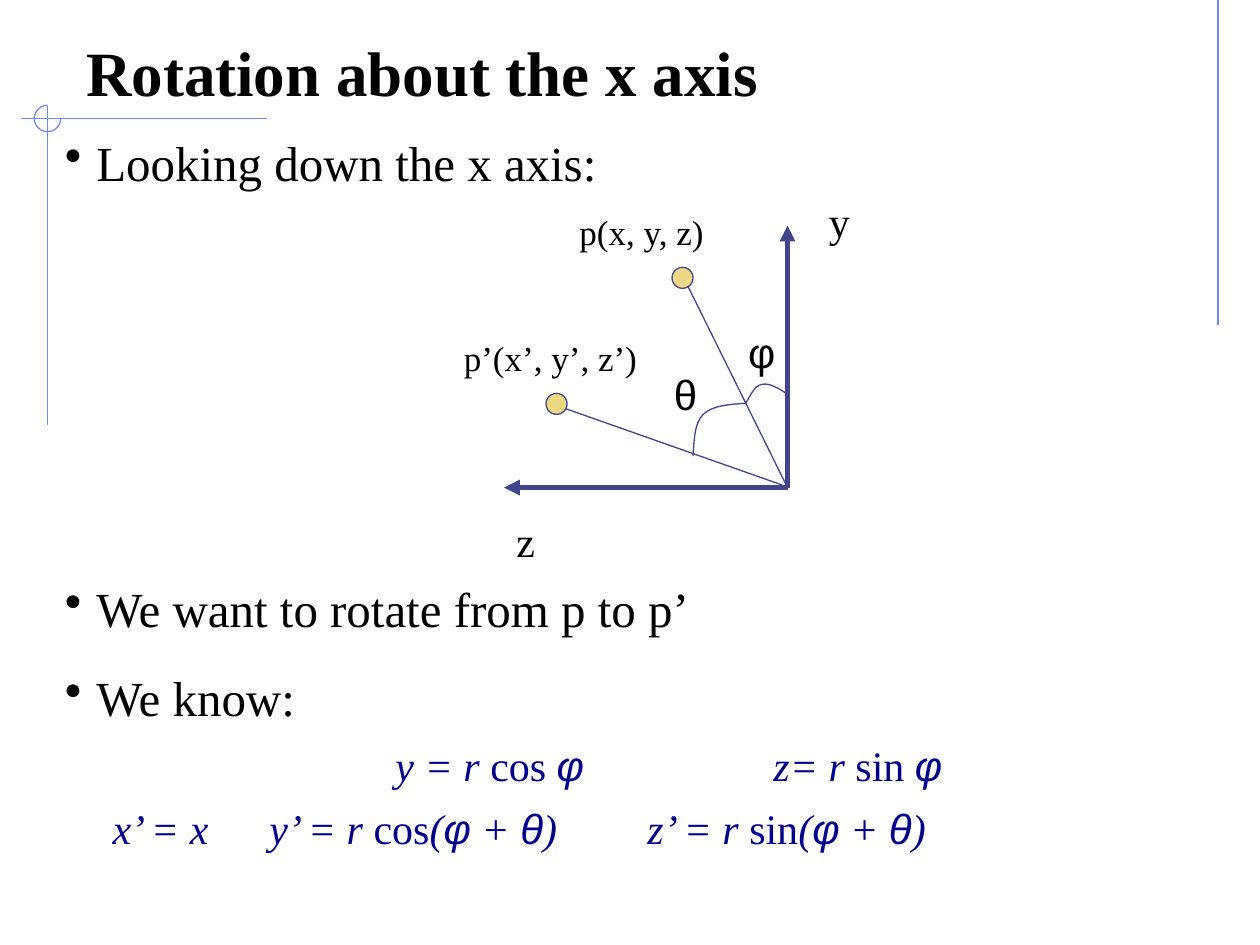
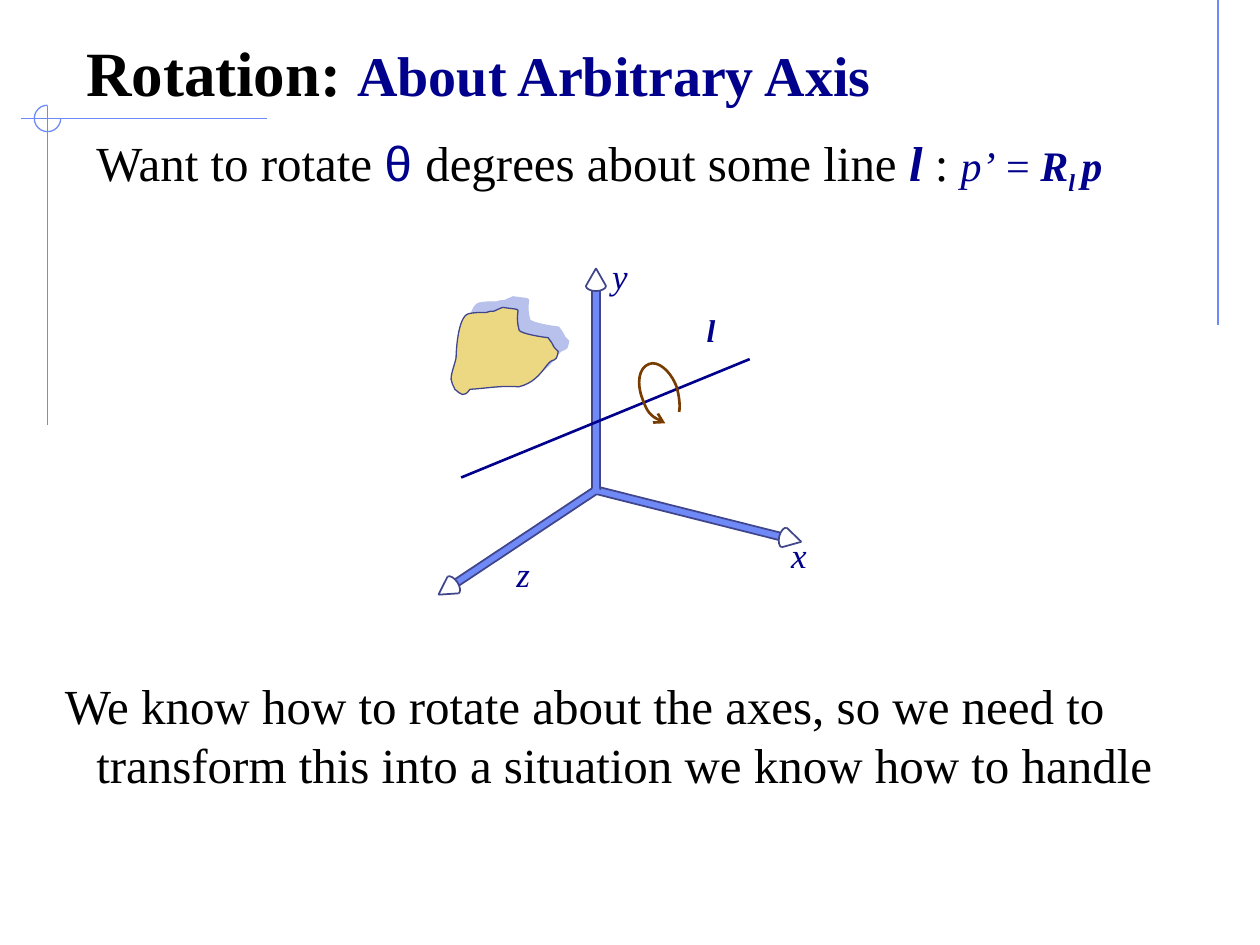
from dataclasses import dataclass, replace
from math import atan2, degrees, hypot

from lxml.etree import SubElement
from pptx import Presentation
from pptx.dml.color import RGBColor
from pptx.enum.shapes import MSO_CONNECTOR, MSO_SHAPE
from pptx.enum.text import MSO_ANCHOR, MSO_AUTO_SIZE, PP_ALIGN
from pptx.oxml.ns import qn
from pptx.util import Inches, Pt

# Colours
BLACK = RGBColor(0x00, 0x00, 0x00)
NAVY = RGBColor(0x00, 0x00, 0x8C)
INDIGO = RGBColor(0x40, 0x45, 0x8C)
PERIWINKLE = RGBColor(0x6F, 0x89, 0xF7)
SAND = RGBColor(0xEC, 0xD8, 0x82)
BROWN = RGBColor(0x78, 0x3C, 0x00)
SHADOW = RGBColor(0xB7, 0xC1, 0xEB)

# The slide is a grid of 100 columns by 75 rows of square cells
CELL = Inches(0.1)
SERIF, SANS = "Times New Roman", "Arial"


@dataclass(frozen=True)
class TextStyle:
    size: int = 28
    color: RGBColor = BLACK
    font: str = SERIF
    bold: bool = False
    italic: bool = False
    baseline: int = 0


BODY = TextStyle()
TITLE = TextStyle(36, bold=True)
SUBTITLE = TextStyle(32, NAVY, bold=True)
AXIS_LABEL = TextStyle(24)
ANGLE_LABEL = TextStyle(24, font=SANS)
POINT_LABEL = TextStyle(20)
MATH = TextStyle(24, NAVY, italic=True)
MATH_UPRIGHT = replace(MATH, italic=False)
MATH_GREEK = replace(MATH, font=SANS)
MATH_BOLD = replace(MATH, bold=True)


@dataclass(frozen=True)
class Paragraph:
    runs: list
    hanging: float = 0
    before: float = 0
    bullet: bool = False


def cells(count):
    return round(count * CELL)


class SlideBuilder:
    def __init__(self, deck):
        self.deck = deck
        self.page = None

    # Shared page parts
    def start(self, title_runs):
        self.page = self.deck.slides.add_slide(self.deck.slide_layouts[5])
        title = self.page.shapes.title
        title.left, title.top, title.width, title.height = map(cells, (5.83, 2.5, 88.3, 6.67))
        frame = title.text_frame
        frame.auto_size = MSO_AUTO_SIZE.NONE
        frame.vertical_anchor = MSO_ANCHOR.BOTTOM
        frame.paragraphs[0].alignment = PP_ALIGN.LEFT
        self.add_runs(frame.paragraphs[0], title_runs)
        # Corner rules and arc
        for ends in (((96.67, 0), (96.67, 25.83)), ((21.2, 9.4), (1.7, 9.4)),
                     ((3.79, 8.4), (3.79, 33.75))):
            self.line(*ends, PERIWINKLE)
        arc = self.shape(MSO_SHAPE.ARC, 2.72, 8.35, 2.1, 2.1, line=PERIWINKLE)
        arc.adjustments[0], arc.adjustments[1] = 0, 162

    # Text
    def add_runs(self, para, runs):
        for text, style in runs:
            span = para.add_run()
            span.text = text
            font = span.font
            font.size, font.name = Pt(style.size), style.font
            font.bold, font.italic = style.bold, style.italic
            font.color.rgb = style.color
            if style.baseline:
                font._element.set("baseline", str(style.baseline * 1000))

    def label(self, left, top, width, height, runs):
        box = self.page.shapes.add_textbox(*map(cells, (left, top, width, height)))
        box.text_frame.word_wrap = False
        self.add_runs(box.text_frame.paragraphs[0], runs)

    def body(self, top, height, paragraphs):
        box = self.page.shapes.add_textbox(*map(cells, (4.17, top, 91.7, height)))
        frame = box.text_frame
        frame.word_wrap = True
        for index, item in enumerate(paragraphs):
            para = frame.add_paragraph() if index else frame.paragraphs[0]
            props = para._p.get_or_add_pPr()
            props.set("marL", str(cells(2.5)))
            props.set("indent", str(-cells(item.hanging)))
            if item.bullet:
                color = SubElement(props, qn("a:buClr"))
                SubElement(color, qn("a:srgbClr"), val=str(BLACK))
                SubElement(props, qn("a:buChar"), char="•")
            para.space_before = Pt(item.before)
            self.add_runs(para, item.runs)

    # Drawing
    def stroke(self, item, color, weight, arrow=None):
        item.line.color.rgb = color
        item.line.width = Pt(weight)
        if arrow:
            outline = item._element.spPr.find(qn("a:ln"))
            SubElement(outline, qn("a:tailEnd"), type=arrow)

    def paint(self, item, fill, line, weight, arrow=None):
        item.shadow.inherit = False
        if fill is None:
            item.fill.background()
        else:
            item.fill.solid()
            item.fill.fore_color.rgb = fill
        if line is None:
            item.line.fill.background()
        else:
            self.stroke(item, line, weight, arrow)
        return item

    def line(self, start, end, color=INDIGO, weight=0.75, arrow=None):
        link = self.page.shapes.add_connector(
            MSO_CONNECTOR.STRAIGHT, *map(cells, (*start, *end)))
        self.stroke(link, color, weight, arrow)
        SubElement(link._element.spPr, qn("a:effectLst"))

    def shape(self, kind, left, top, width, height, fill=None, line=None, weight=0.75):
        item = self.page.shapes.add_shape(kind, *map(cells, (left, top, width, height)))
        return self.paint(item, fill, line, weight)

    def curve(self, points, fill=None, line=INDIGO, weight=0.75, arrow=None):
        """Draw a start point followed by triples of Bezier points."""
        start, *rest = [(cells(x), cells(y)) for x, y in points]
        builder = self.page.shapes.build_freeform(*start)
        builder.add_line_segments(rest, close=fill is not None)
        item = builder.convert_to_shape()
        # Join every three straight segments into one Bezier segment
        outline = next(item._element.iter(qn("a:path")))
        segments = outline.findall(qn("a:lnTo"))
        for first in range(0, len(segments), 3):
            bend = segments[first]
            bend.tag = qn("a:cubicBezTo")
            for segment in segments[first + 1:first + 3]:
                bend.append(segment[0])
                outline.remove(segment)
        return self.paint(item, fill, line, weight, arrow)

    def drop_shadow(self, item, color, distance, direction):
        effects = item._element.spPr.find(qn("a:effectLst"))
        shadow = SubElement(effects, qn("a:outerShdw"), dist=str(Pt(distance)),
                            dir=str(direction * 60000), algn="ctr", rotWithShape="0")
        SubElement(shadow, qn("a:srgbClr"), val=str(color))

    def axis_rod(self, origin, tip):
        """Draw a rod with two edges and a cone from the origin to the tip."""
        across, down = tip[0] - origin[0], tip[1] - origin[1]
        reach = hypot(across, down)
        ux, uy = across / reach, down / reach

        def at(along, aside):
            return (origin[0] + along * ux - aside * uy, origin[1] + along * uy + aside * ux)

        rod, base = reach - 1.8, reach - 1.4
        middle = at(rod / 2, 0)
        bar = self.shape(MSO_SHAPE.RECTANGLE, middle[0] - rod / 2, middle[1] - 0.3,
                         rod, 0.6, fill=PERIWINKLE)
        bar.rotation = degrees(atan2(down, across))
        self.curve([at(base, 0.8), at(base - 0.2, 0.8), at(rod, 0.45), at(rod, 0),
                    at(rod, -0.45), at(base - 0.2, -0.8), at(base, -0.8)], weight=1)
        for side in (-1, 1):
            self.line(at(base, 0.8 * side), tip, weight=1)
            self.line(at(0, 0.3 * side), at(rod, 0.3 * side), weight=1)


def build_x_axis_rotation(builder):
    builder.start([("Rotation about the x axis", TITLE)])

    # Statements
    def item(text, before=0):
        return Paragraph([(text, BODY)], hanging=2.5, before=before, bullet=True)

    builder.body(10, 5.5, [item("Looking down the x axis:")])
    builder.body(45.4, 12.5, [item("We want to rotate from p to p’"),
                              item("We know:", 17.5)])

    # Equations
    def angle(lead, function):
        return [(lead, MATH), (function, MATH_UPRIGHT), ("φ", MATH_GREEK)]

    def angle_sum(lead, function):
        return [(lead, MATH), (function, MATH_UPRIGHT), ("(", MATH), ("φ", MATH_GREEK),
                (" + ", MATH), ("θ", MATH_GREEK), (")", MATH)]

    for left, top, width, runs in (
            (30.4, 58.2, 18, angle("y = r ", "cos ")),
            (60.4, 58.2, 18, angle("z= r ", "sin ")),
            (7.95, 63.2, 11, [("x’ = x", MATH)]),
            (20.4, 63.2, 27, angle_sum("y’ = r ", "cos")),
            (50.4, 63.2, 27, angle_sum("z’ = r ", "sin"))):
        builder.label(left, top, width, 5, runs)

    # Axes
    origin = (62.5, 38.7)
    for end in ((62.5, 17.9), (40, 38.7)):
        builder.line(origin, end, weight=3, arrow="triangle")
    builder.label(64.8, 15, 3.6, 5, [("y", AXIS_LABEL)])
    builder.label(40, 40.4, 3.5, 5, [("z", AXIS_LABEL)])

    # Points and their rays
    for ray_start, x, y in ((origin, 54.17, 22.05), ((62.1, 38.5), 44.17, 32.05)):
        builder.line(ray_start, (x + 0.2, y + 0.2))
        builder.shape(MSO_SHAPE.OVAL, x - 0.83, y - 0.83, 1.67, 1.67, SAND, INDIGO)
    builder.label(45, 16.2, 13, 4.4, [("p(x, y, z)", POINT_LABEL)])
    builder.label(35.83, 26.2, 18, 4.4, [("p’(x’, y’, z’)", POINT_LABEL)])

    # Angles
    builder.curve([(59.2, 32), (59.6, 31.3), (59.9, 30.6), (60.5, 30.5),
                   (61.1, 30.4), (61.8, 30.8), (62.5, 31.3)])
    builder.curve([(55, 36.2), (55.1, 34.9), (55.1, 33.6), (55.8, 32.9),
                   (56.5, 32.2), (57.8, 32.1), (59.2, 32)])
    builder.label(58.4, 25.4, 3.7, 5, [("φ", ANGLE_LABEL)])
    builder.label(52.5, 28.75, 3.7, 5, [("θ", ANGLE_LABEL)])


def build_arbitrary_rotation(builder):
    builder.start([("Rotation: ", TITLE), ("About Arbitrary Axis", SUBTITLE)])

    # Statements
    builder.body(10, 5.5, [Paragraph([
        ("Want to rotate ", BODY), ("θ ", replace(BODY, font=SANS, color=NAVY)),
        ("degrees about some line ", BODY),
        ("l", replace(MATH_BOLD, size=28)), (" : ", BODY),
        ("p’", MATH), (" = ", MATH_UPRIGHT), ("R", MATH_BOLD),
        ("l ", replace(MATH_BOLD, baseline=-25)), ("p", MATH_BOLD)])])
    builder.body(53.1, 10.5, [Paragraph([(
        "We know how to rotate about the axes, so we need to transform "
        "this into a situation we know how to handle", BODY)], hanging=2.5)])

    # Axes
    origin = (47.3, 38.9)
    for tip in ((34.8, 47.2), (63.6, 43), (47.3, 21.3)):
        builder.axis_rod(origin, tip)
    builder.shape(MSO_SHAPE.OVAL, 47, 38.6, 0.6, 0.6, PERIWINKLE)
    for text, left, top in (("x", 61.8, 41.85), ("y", 47.6, 19.7), ("z", 40, 43.35)):
        builder.label(left, top, 3.2, 4.4, [(text, replace(MATH, size=20))])

    # Line of rotation and turning arrow
    builder.line((36.6, 37.9), (59.5, 28.5), NAVY, 1.5)
    builder.curve([(53.9, 32.7), (54, 32.2), (53.9, 31.4), (53.7, 30.7),
                   (53.2, 29.4), (52.2, 28.6), (51.5, 28.9),
                   (50.7, 29.2), (50.5, 30.4), (51, 31.7),
                   (51.4, 32.8), (52.2, 33.5), (52.8, 33.6)],
                  line=BROWN, weight=1.5, arrow="arrow")
    builder.label(55.1, 24.2, 2.7, 4, [("l", replace(MATH_BOLD, size=18))])

    # Body to rotate
    blob = builder.curve([
        (36.2, 28.4), (36.2, 28.1), (36.3, 25.1), (37.2, 24.9),
        (37.6, 24.8), (38.1, 24.8), (38.6, 24.8), (38.8, 24.7), (39, 24.7), (39.2, 24.7),
        (39.4, 24.6), (39.9, 24.4), (39.9, 24.4), (41.9, 24.7), (40.7, 24.2), (41.2, 26.2),
        (41.3, 26.5), (43.3, 26.8), (43.5, 26.8), (43.7, 27.1), (43.9, 27.3), (44, 27.6),
        (44.1, 27.7), (44.3, 27.9), (44.3, 27.9), (44.1, 29), (44, 28.2), (43.4, 29),
        (42.8, 29.8), (42.3, 30.4), (41.2, 30.7), (39.6, 30.6), (38.9, 30.8), (37.3, 30.9),
        (36.8, 31.6), (36.6, 31.3), (36.1, 30.9), (36, 30.6), (35.8, 30.4), (35.8, 30.1),
        (35.8, 29.6), (36.1, 28.9), (36.2, 28.4)], fill=SAND)
    builder.drop_shadow(blob, SHADOW, 8.5, 315)


def main():
    deck = Presentation()
    deck.slide_width, deck.slide_height = 100 * CELL, 75 * CELL
    builder = SlideBuilder(deck)
    build_x_axis_rotation(builder)
    build_arbitrary_rotation(builder)
    deck.save("out.pptx")


if __name__ == "__main__":
    main()
